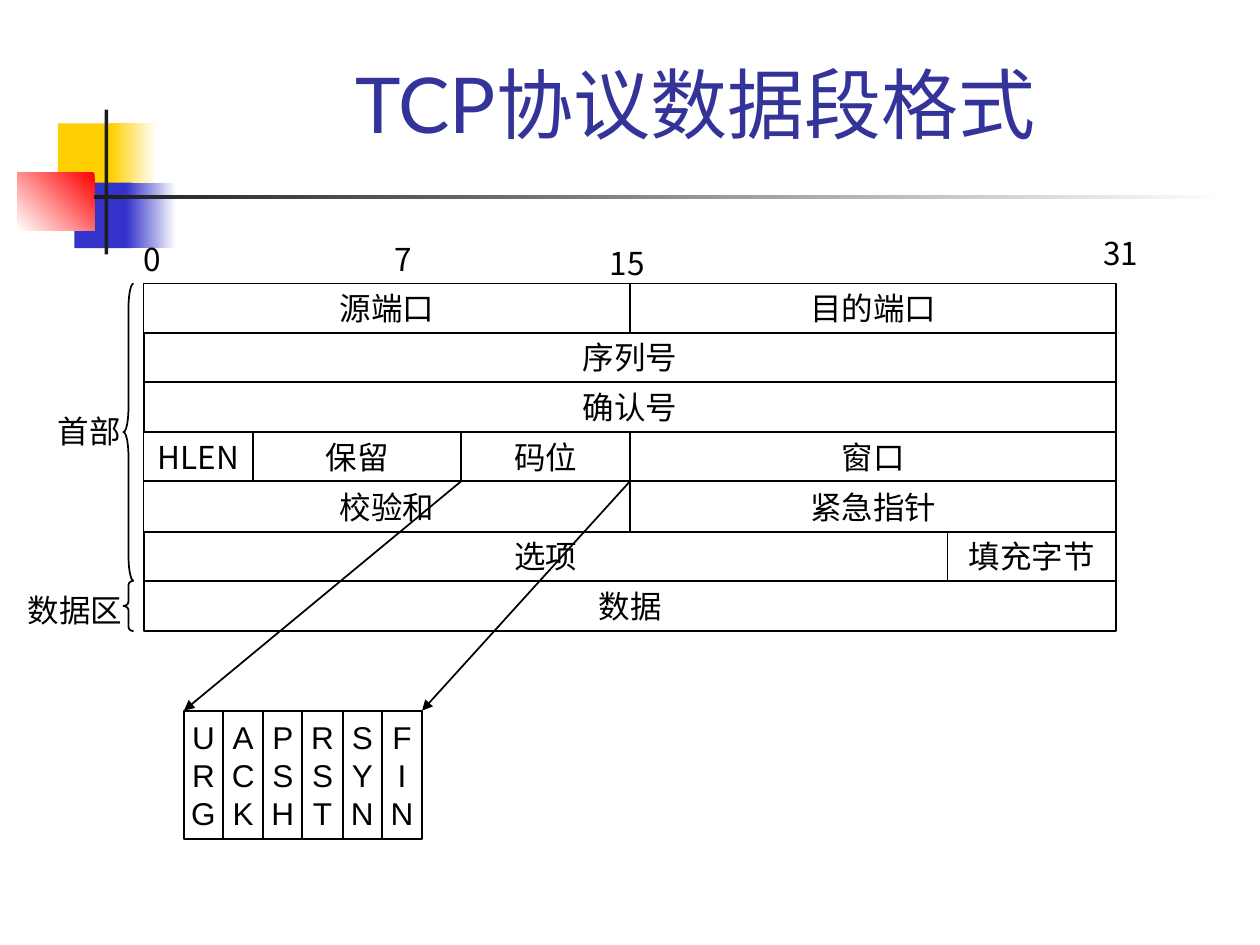
from dataclasses import dataclass
from typing import NamedTuple

from lxml import etree
from pptx import Presentation
from pptx.dml.color import RGBColor
from pptx.enum.shapes import MSO_CONNECTOR, MSO_SHAPE
from pptx.enum.text import MSO_ANCHOR, MSO_AUTO_SIZE, PP_ALIGN
from pptx.oxml.ns import qn
from pptx.util import Emu, Pt

RECTANGLE = MSO_SHAPE.RECTANGLE
LEFT_BRACE = MSO_SHAPE.LEFT_BRACE
STRAIGHT = MSO_CONNECTOR.STRAIGHT
CENTER, LEFT = PP_ALIGN.CENTER, PP_ALIGN.LEFT
MIDDLE, TOP, BOTTOM = MSO_ANCHOR.MIDDLE, MSO_ANCHOR.TOP, MSO_ANCHOR.BOTTOM
FIXED, GROW = MSO_AUTO_SIZE.NONE, MSO_AUTO_SIZE.SHAPE_TO_FIT_TEXT

EMU_PER_PX = 9144


@dataclass(frozen=True)
class Theme:
    ink: str = "000000"
    title: str = "333399"
    white: str = "FFFFFF"
    yellow: str = "FFCF01"
    blue: str = "3333CC"
    red: str = "FF0000"
    bar: str = "1C1C1C"
    title_size: int = 44
    body_size: int = 18
    line_width: int = 1
    title_font: str = "Lato"
    body_font: str = "Noto Sans CJK JP"
    flag_font: str = "Arial"


THEME = Theme()


class Box(NamedTuple):
    left: int
    top: int
    width: int
    height: int


class Ornament(NamedTuple):
    box: Box
    start: str
    end: str
    angle: int = 180


class Field(NamedTuple):
    text: str
    row: int
    left: int
    right: int


class Label(NamedTuple):
    text: str
    box: Box
    font: str = THEME.body_font


class Section(NamedTuple):
    first_row: int
    end_row: int


ORNAMENTS = [
    Ornament(Box(46, 98, 48, 52), THEME.yellow, THEME.yellow),
    Ornament(Box(88, 98, 36, 52), THEME.white, THEME.yellow),
    Ornament(Box(59, 145, 46, 52), THEME.blue, THEME.blue),
    Ornament(Box(100, 145, 40, 52), THEME.white, THEME.blue),
    Ornament(Box(14, 137, 61, 46), THEME.red, THEME.white, 225),
    Ornament(Box(83, 87, 3, 115), THEME.bar, THEME.bar),
    Ornament(Box(75, 155, 900, 3), THEME.white, THEME.bar),
]

START, HLEN_END, CODE_START, HALF, PADDING_START, END = 114, 201, 366, 500, 752, 886
FIELDS = [
    Field("源端口", 0, START, HALF),
    Field("目的端口", 0, HALF, END),
    Field("序列号", 1, START, END),
    Field("确认号", 2, START, END),
    Field("HLEN", 3, START, HLEN_END),
    Field("保留", 3, HLEN_END, CODE_START),
    Field("码位", 3, CODE_START, HALF),
    Field("窗口", 3, HALF, END),
    Field("校验和", 4, START, HALF),
    Field("紧急指针", 4, HALF, END),
    Field("选项", 5, START, PADDING_START),
    Field("填充字节", 5, PADDING_START, END),
    Field("数据", 6, START, END),
]
FLAGS = ["URG", "ACK", "PSH", "RST", "SYN", "FIN"]
FLAG_TOP, FLAG_HEIGHT = 564, 102

LABELS = [
    Label("0", Box(104, 186, 34, 40)),
    Label("7", Box(303, 186, 34, 40)),
    Label("15", Box(474, 189, 48, 40)),
    Label("31", Box(866, 181, 48, 40)),
    Label("首部", Box(36, 322, 70, 40)),
    Label("数据区", Box(12, 464, 95, 40), THEME.flag_font),
]
SECTIONS = [Section(0, 6), Section(6, 7)]


def px(length: int) -> Emu:
    return Emu(length * EMU_PER_PX)


def emu_box(box: Box) -> list[Emu]:
    return [px(length) for length in box]


def row_top(row: int) -> int:
    return 225 + row * 276 // 7


def flag_left(index: int) -> int:
    return 146 + index * 63 // 2


def color(value: str) -> RGBColor:
    return RGBColor.from_string(value)


def style_line(line) -> None:
    line.color.rgb = color(THEME.ink)
    line.width = Pt(THEME.line_width)


def write(frame, lines, font, size=THEME.body_size, ink=THEME.ink,
          align=CENTER, anchor=MIDDLE, wrap=False, fit=FIXED) -> None:
    frame.word_wrap = wrap
    frame.auto_size = fit
    frame.vertical_anchor = anchor
    for index, text in enumerate(lines):
        para = frame.paragraphs[0] if index == 0 else frame.add_paragraph()
        para.alignment = align
        span = para.add_run()
        span.text = text
        span.font.name = font
        span.font.size = Pt(size)
        span.font.color.rgb = color(ink)
        east_asian = etree.SubElement(span.font._element, qn("a:ea"))
        east_asian.set("typeface", THEME.body_font)


def draw_ornament(page, ornament: Ornament) -> None:
    shape = page.shapes.add_shape(RECTANGLE, *emu_box(ornament.box))
    shape.shadow.inherit = False
    shape.line.fill.background()
    if ornament.start == ornament.end:
        shape.fill.solid()
        shape.fill.fore_color.rgb = color(ornament.start)
        return
    shape.fill.gradient()
    shape.fill.gradient_angle = ornament.angle
    for stop, value in zip(shape.fill.gradient_stops, (ornament.start, ornament.end)):
        stop.color.rgb = color(value)


def draw_outline(page, kind, box: Box):
    shape = page.shapes.add_shape(kind, *emu_box(box))
    shape.shadow.inherit = False
    shape.fill.background()
    style_line(shape.line)
    return shape


def draw_arrow(page, begin: tuple[int, int], end: tuple[int, int]) -> None:
    arrow = page.shapes.add_connector(STRAIGHT, *map(px, begin + end))
    style_line(arrow.line)
    etree.SubElement(arrow.line._get_or_add_ln(), qn("a:tailEnd")).set("type", "triangle")
    etree.SubElement(arrow._element.spPr, qn("a:effectLst"))


def draw_label(page, label: Label) -> None:
    box = page.shapes.add_textbox(*emu_box(label.box))
    write(box.text_frame, [label.text], label.font, align=LEFT, anchor=TOP, fit=GROW)


def main() -> None:
    deck = Presentation()
    deck.slide_width, deck.slide_height = px(1000), px(750)
    page = deck.slides.add_slide(deck.slide_layouts[5])
    title = page.shapes.title
    title.left, title.top, title.width, title.height = emu_box(Box(126, 23, 852, 100))
    write(title.text_frame, ["TCP协议数据段格式"], THEME.title_font, THEME.title_size,
          THEME.title, anchor=BOTTOM, wrap=True)

    for ornament in ORNAMENTS:
        draw_ornament(page, ornament)
    for field in FIELDS:
        top = row_top(field.row)
        box = Box(field.left, top, field.right - field.left, row_top(field.row + 1) - top)
        write(draw_outline(page, RECTANGLE, box).text_frame, [field.text], THEME.body_font)
    for index, flag in enumerate(FLAGS):
        left = flag_left(index)
        box = Box(left, FLAG_TOP, flag_left(index + 1) - left, FLAG_HEIGHT)
        write(draw_outline(page, RECTANGLE, box).text_frame, flag, THEME.flag_font)
    for begin, end in ((CODE_START, flag_left(0)), (HALF, flag_left(len(FLAGS)))):
        draw_arrow(page, (begin, row_top(4)), (end, FLAG_TOP))
    for label in LABELS:
        draw_label(page, label)
    for section in SECTIONS:
        top = row_top(section.first_row)
        box = Box(98, top, 8, row_top(section.end_row) - top)
        brace = draw_outline(page, LEFT_BRACE, box)
        brace.adjustments[0] = box.height / box.width / 12
    deck.save("out.pptx")


if __name__ == "__main__":
    main()
